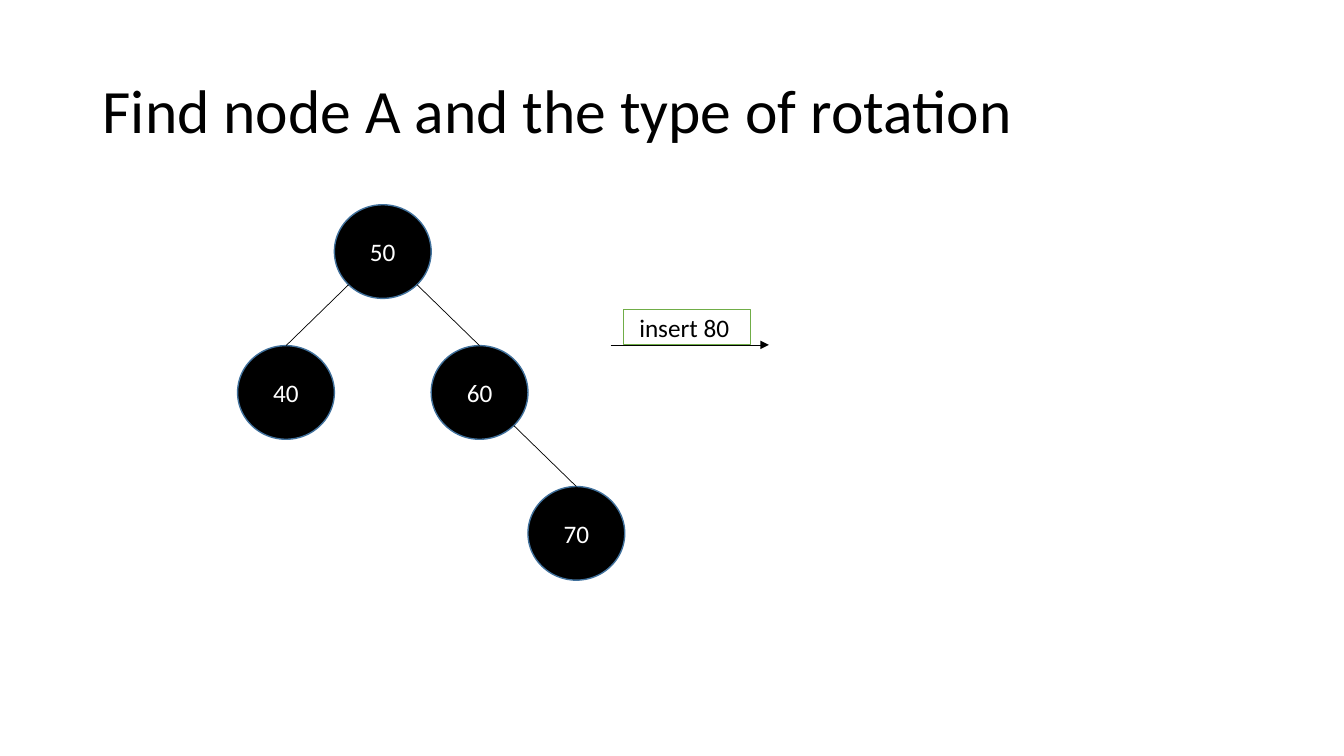
from lxml import etree
from pptx import Presentation
from pptx import util as u
from pptx.dml.color import RGBColor
from pptx.enum import shapes, text
from pptx.oxml.ns import qn

COLORS = {
    "ink": "000000",
    "paper": "FFFFFF",
    "node_edge": "41719C",
    "label_edge": "70AD47",
}
NODE_WIDTH, NODE_HEIGHT = 2.44, 2.36
LEVEL_STEP = 3.55
ROOT_LEFT, ROOT_TOP = 8.43, 5.16
RIM = 0.5 ** 0.5


class TreeSlide:
    """Draws the parts of a binary tree slide in one style."""

    font = "Calibri"

    def __init__(self, slide):
        self.slide = slide

    def color(self, name):
        return RGBColor.from_string(COLORS[name])

    def set_text(self, shape, words, size, ink, align):
        frame = shape.text_frame
        frame.word_wrap = True
        frame.vertical_anchor = text.MSO_ANCHOR.MIDDLE
        paragraph = frame.paragraphs[0]
        paragraph.text = words
        paragraph.alignment = align
        paragraph.font.name = self.font
        paragraph.font.size = u.Pt(size)
        paragraph.font.color.rgb = self.color(ink)
        return paragraph

    def title(self, words, left, top, width, height):
        box = self.slide.shapes.add_textbox(*map(u.Cm, (left, top, width, height)))
        heading = self.set_text(box, words, 44, "ink", text.PP_ALIGN.LEFT)
        heading.line_spacing = 0.9

    def block(self, kind, words, place, fill, edge, ink):
        shape = self.slide.shapes.add_shape(kind, *map(u.Cm, place))
        shape.shadow.inherit = False
        shape.fill.solid()
        shape.fill.fore_color.rgb = self.color(fill)
        shape.line.color.rgb = self.color(edge)
        shape.line.width = u.Pt(1)
        self.set_text(shape, words, 18, ink, text.PP_ALIGN.CENTER)
        return shape

    def node(self, key, column, level):
        place = (ROOT_LEFT + column * NODE_WIDTH, ROOT_TOP + level * LEVEL_STEP,
                 NODE_WIDTH, NODE_HEIGHT)
        return self.block(shapes.MSO_SHAPE.OVAL, key, place, "ink", "node_edge", "paper")

    def line(self, *ends):
        connector = self.slide.shapes.add_connector(shapes.MSO_CONNECTOR.STRAIGHT, *ends)
        connector.line.color.rgb = self.color("ink")
        connector.line.width = u.Pt(0.5)
        etree.SubElement(connector.element.spPr, qn("a:effectLst"))
        return connector

    def branch(self, parent, child):
        side = 1 if child.left > parent.left else -1
        start_x = parent.left + parent.width * (1 + side * RIM) / 2
        start_y = parent.top + parent.height * (1 + RIM) / 2
        edge = self.line(u.Emu(int(start_x)), u.Emu(int(start_y)),
                         child.left + child.width // 2, child.top)
        edge.end_connect(child, 0)

    def arrow(self, start, end, y):
        shaft = self.line(u.Cm(start), u.Cm(y), u.Cm(end), u.Cm(y))
        outline = shaft.element.spPr.find(qn("a:ln"))
        etree.SubElement(outline, qn("a:tailEnd"), type="triangle")

    def label(self, words, *place):
        self.block(shapes.MSO_SHAPE.RECTANGLE, words, place, "paper", "label_edge", "ink")


def main():
    deck = Presentation()
    deck.slide_width, deck.slide_height = u.Cm(33.88), u.Cm(19.05)
    page = TreeSlide(deck.slides.add_slide(deck.slide_layouts[6]))
    page.title("Find node A and the type of rotation", 2.34, 1.02, 29.21, 3.68)

    tree = {"50": (0, 0), "70": (2, 2), "60": (1, 1), "40": (-1, 1)}
    nodes = {key: page.node(key, *spot) for key, spot in tree.items()}
    for parent, child in (("50", "40"), ("50", "60"), ("60", "70")):
        page.branch(nodes[parent], nodes[child])

    page.arrow(15.39, 19.38, 8.69)
    page.label("insert 80 ", 15.72, 7.8, 3.2, 0.89)
    deck.save("out.pptx")


if __name__ == "__main__":
    main()
